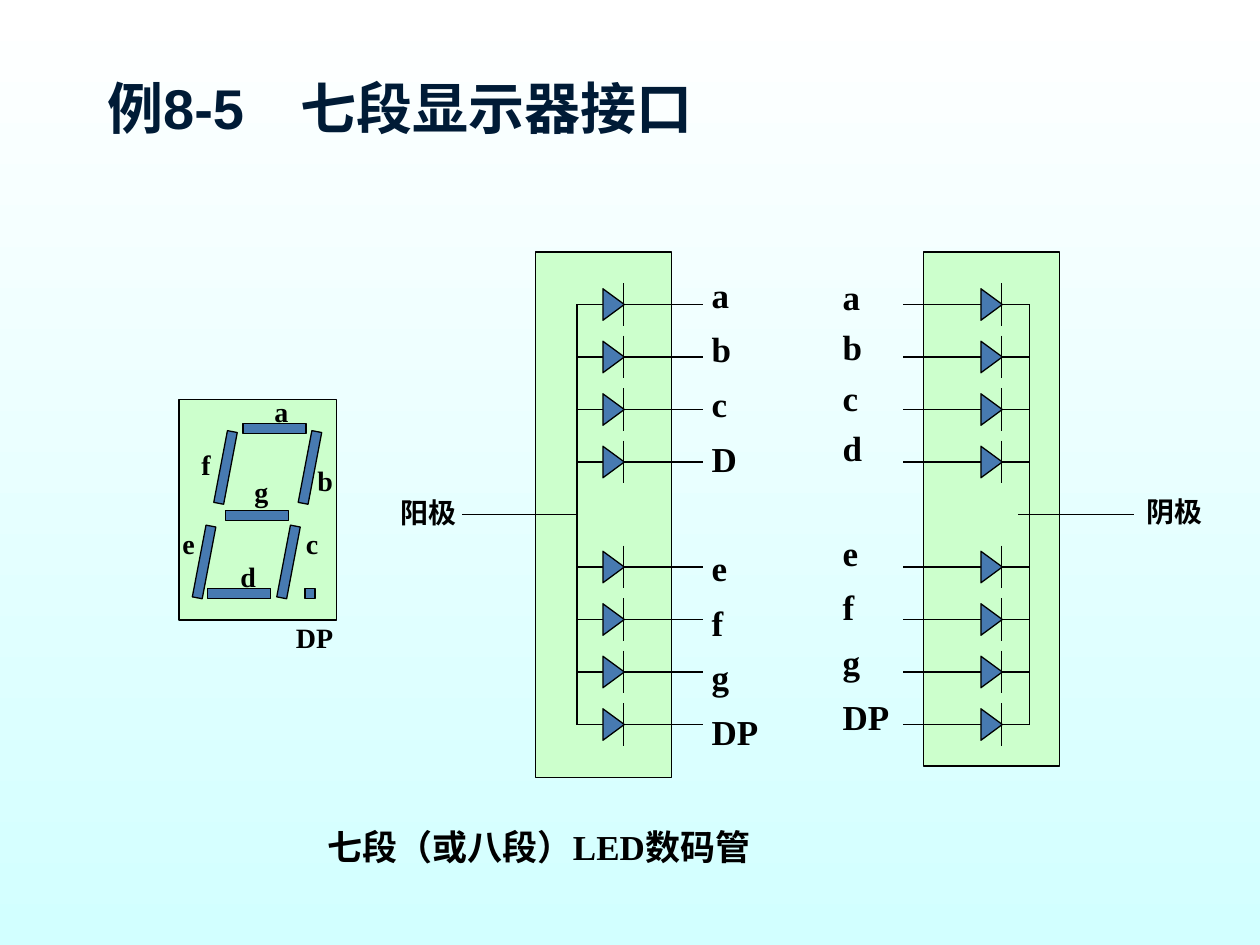
from lxml import etree
from pptx import Presentation
from pptx.dml.color import RGBColor
from pptx.enum.shapes import MSO_CONNECTOR, MSO_SHAPE
from pptx.enum.text import MSO_ANCHOR, MSO_AUTO_SIZE, PP_ALIGN
from pptx.oxml.ns import qn
from pptx.util import Inches, Pt

RECTANGLE = MSO_SHAPE.RECTANGLE
TRIANGLE = MSO_SHAPE.ISOSCELES_TRIANGLE
STRAIGHT = MSO_CONNECTOR.STRAIGHT
MIDDLE = MSO_ANCHOR.MIDDLE
NO_AUTOFIT = MSO_AUTO_SIZE.NONE
LEFT = PP_ALIGN.LEFT

BLACK = RGBColor(0x00, 0x00, 0x00)
WHITE = RGBColor(0xFF, 0xFF, 0xFF)
PALE_CYAN = RGBColor(0xD2, 0xFF, 0xFF)
PALE_GREEN = RGBColor(0xCC, 0xFF, 0xCC)
SEGMENT_BLUE = RGBColor(0x47, 0x7A, 0xB1)
NAVY = RGBColor(0x00, 0x1B, 0x36)

SERIF = "Times New Roman"
LINE_WIDTH = Pt(0.75)
ROW_PITCH = 5 / 12
DIODE_ROWS = (1, 2, 3, 4, 6, 7, 8, 9)
COMMON_ROW = 5


def add_solid(slide, kind, left, top, width, height, fill, rotation=0):
    """Add an outlined preset shape."""
    solid = slide.shapes.add_shape(
        kind, Inches(left), Inches(top), Inches(width), Inches(height))
    solid.shadow.inherit = False
    solid.fill.solid()
    solid.fill.fore_color.rgb = fill
    solid.line.color.rgb = BLACK
    solid.line.width = LINE_WIDTH
    solid.rotation = rotation


def add_wire(slide, x1, y1, x2, y2):
    """Add a thin black straight wire."""
    wire = slide.shapes.add_connector(
        STRAIGHT, Inches(x1), Inches(y1), Inches(x2), Inches(y2))
    wire.line.color.rgb = BLACK
    wire.line.width = LINE_WIDTH
    etree.SubElement(wire._element.spPr, qn("a:effectLst"))


def style_runs(paragraph, size, font_name, color):
    """Make every run of a paragraph bold in the given font."""
    for run in paragraph.runs:
        run.font.size = Pt(size)
        run.font.name = font_name
        run.font.bold = True
        run.font.color.rgb = color


def add_label(slide, text, left, top, width, height, size=16):
    """Add a bold serif label and return its text frame."""
    frame = slide.shapes.add_textbox(
        Inches(left), Inches(top), Inches(width), Inches(height)).text_frame
    frame.word_wrap = True
    frame.text = text
    for paragraph in frame.paragraphs:
        style_runs(paragraph, size, SERIF, BLACK)
    return frame


def add_title(slide, left, top, width, height):
    """Place and format the title placeholder."""
    title = slide.shapes.title
    title.left, title.top = Inches(left), Inches(top)
    title.width, title.height = Inches(width), Inches(height)
    frame = title.text_frame
    frame.text = "例8-5　七段显示器接口"
    frame.auto_size = NO_AUTOFIT
    frame.vertical_anchor = MIDDLE
    frame.paragraphs[0].alignment = LEFT
    style_runs(frame.paragraphs[0], 32, "Arial", NAVY)


def add_digit(slide, left, top, width, height):
    """Draw the seven-segment digit with its decimal point and labels."""
    add_solid(slide, RECTANGLE, left, top, width, height, PALE_GREEN)
    for dx, dy in ((0.51, 0.19), (0.37, 0.88), (0.23, 1.5)):
        add_solid(slide, RECTANGLE, left + dx, top + dy, 0.5, 0.08, SEGMENT_BLUE)
    for dx, dy in ((0.33, 0.25), (0.16, 1), (1, 0.25), (0.83, 1)):
        add_solid(slide, RECTANGLE, left + dx, top + dy, 0.08, 0.58,
                  SEGMENT_BLUE, 10.8)
    add_solid(slide, RECTANGLE, left + 1, top + 1.5, 0.08, 0.08, SEGMENT_BLUE)
    segment_labels = (
        ("a", 0.66, -0.09), ("b", 1, 0.46), ("c", 0.91, 0.96), ("d", 0.39, 1.22),
        ("e", -0.07, 0.96), ("f", 0.08, 0.33), ("g", 0.5, 0.55))
    for name, dx, dy in segment_labels:
        add_label(slide, name, left + dx, top + dy, 0.33, 0.37)
    add_label(slide, "DP", left + 0.83, top + 1.71, 0.61, 0.37)


def add_diode_panel(slide, left, top, width, height, lead_start, lead_end,
                    diode_center, bus):
    """Draw eight diodes joined by a bus; x positions are relative to left."""
    add_solid(slide, RECTANGLE, left, top, width, height, PALE_GREEN)
    center, bar = left + diode_center, left + diode_center + 0.08
    for row in DIODE_ROWS:
        y = top + row * ROW_PITCH
        add_wire(slide, bar, y - 0.17, bar, y + 0.17)
        add_wire(slide, left + lead_start, y, left + lead_end, y)
        add_solid(slide, TRIANGLE, center - 0.125, y - 0.085, 0.25, 0.17,
                  SEGMENT_BLUE, 90)
    add_wire(slide, left + bus, top + DIODE_ROWS[0] * ROW_PITCH,
             left + bus, top + DIODE_ROWS[-1] * ROW_PITCH)


def add_pin_labels(slide, names, left, top, width, height, upper_spacing, gap):
    """List the pin names, leaving a gap at the common row."""
    frame = add_label(slide, "\n".join(names), left, top, width, height, 20)
    for index, paragraph in enumerate(frame.paragraphs):
        paragraph.line_spacing = upper_spacing if index < 4 else 1.3
    frame.paragraphs[4].space_before = Pt(gap)


def add_common_anode(slide, left, top, width, height):
    """Draw the common-anode circuit with its labels."""
    add_diode_panel(slide, left, top, width, height, 0.33, 1.33, 0.62, 0.33)
    common_y = top + COMMON_ROW * ROW_PITCH
    add_wire(slide, left + 0.33, common_y, left - 0.58, common_y)
    add_label(slide, "阳极", left - 1.17, common_y - 0.2, 0.75, 0.37)
    add_pin_labels(slide, ("a", "b", "c", "D", "e", "f", "g", "DP"),
                   left + 1.3, top + 0.02, 0.66, 4, 1.3, 31.2)


def add_common_cathode(slide, left, top, width, height):
    """Draw the common-cathode circuit with its labels."""
    add_diode_panel(slide, left, top, width, height, -0.16, 0.84, 0.54, 0.84)
    common_y = top + COMMON_ROW * ROW_PITCH
    add_wire(slide, left + 0.75, common_y, left + 1.67, common_y)
    add_label(slide, "阴极", left + 1.67, common_y - 0.21, 0.75, 0.37)
    add_pin_labels(slide, ("a", "b", "c", "d", "e", "f", "g", "DP"),
                   left - 0.74, top + 0.07, 0.66, 3.84, 1.2, 28.6)


def main():
    """Build and save the slide."""
    deck = Presentation()
    deck.slide_width, deck.slide_height = Inches(10), Inches(7.5)
    slide = deck.slides.add_slide(deck.slide_layouts[5])
    backdrop = slide.background.fill
    backdrop.gradient()
    backdrop.gradient_angle = 270
    for stop, color, position in zip(
            backdrop.gradient_stops, (WHITE, PALE_CYAN), (0, 1)):
        stop.color.rgb = color
        stop.position = position
    add_title(slide, 0.75, 0.6, 8.5, 0.5)
    add_digit(slide, 1.42, 3.17, 1.25, 1.75)
    add_common_anode(slide, 4.25, 2, 1.08, 4.17)
    add_common_cathode(slide, 7.33, 2, 1.08, 4.08)
    add_label(slide, "七段（或八段）LED数码管", 2.5, 6.5, 5.25, 0.44, 20)
    deck.save("out.pptx")


if __name__ == "__main__":
    main()
